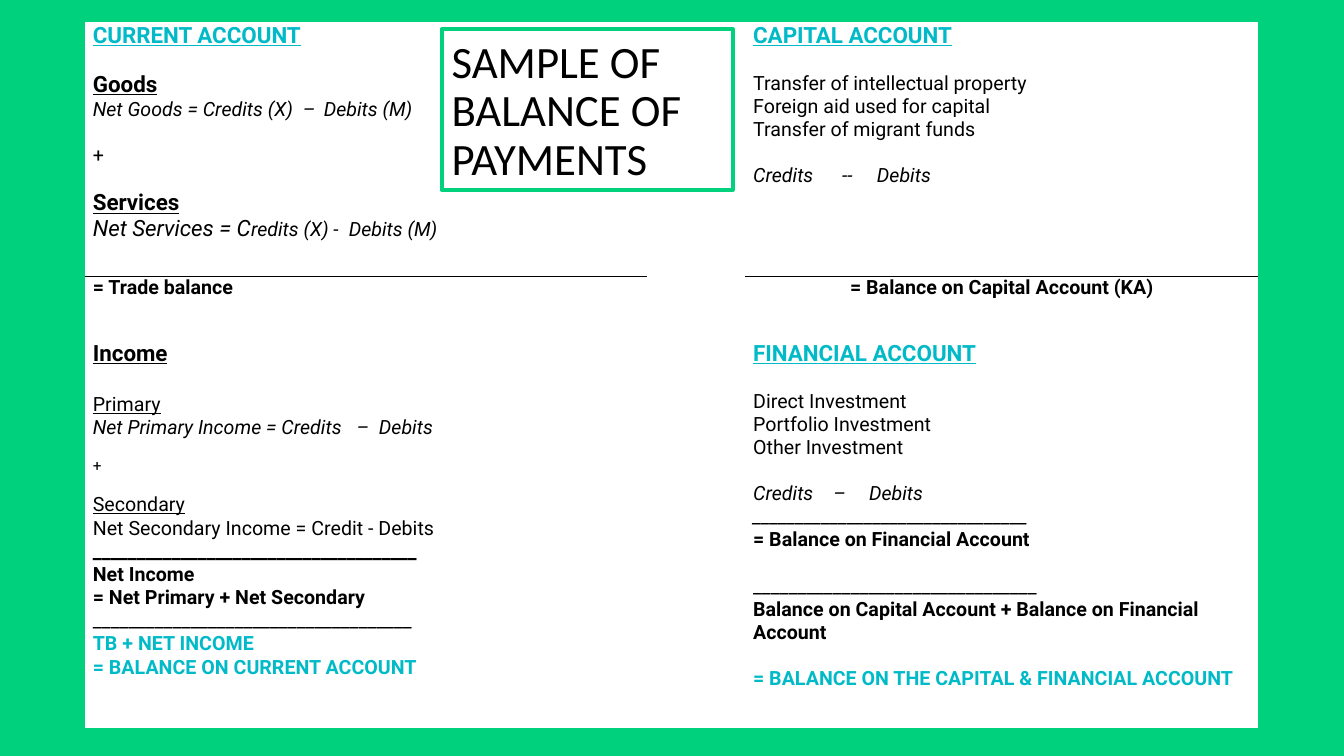
from lxml.etree import SubElement as Sub
from pptx import Presentation
from pptx.dml.color import RGBColor as Rgb
from pptx.enum.shapes import MSO_SHAPE as Shape
from pptx.enum.text import MSO_ANCHOR as Anchor, PP_ALIGN as Align
from pptx.oxml.ns import qn
from pptx.util import Cm, Pt

COLORS = {"green": "00D17D", "teal": "00BAC8", "black": "000000", "white": "FFFFFF"}
COLS = (14.15, 2.49, 12.9)
ROWS = (6.38, 1.63, 9.75)
GAP, SMALL = 16.4, 12.9  # heights of a skipped 14 pt and 11 pt line

# style: size, colour, flags (b bold, i italic, u underlined)
STYLES = {
    "head": (16, "teal", "bu"),
    "sub": (16, "black", "bu"),
    "big": (16, "black", "i"),
    "text": (14, "black", ""),
    "note": (14, "black", "i"),
    "label": (14, "black", "u"),
    "bold": (14, "black", "b"),
    "total": (14, "teal", "b"),
    "plus": (11, "black", ""),
}

# line: style, text or (style, text) runs, space before, tab stops in cm
CURRENT = [
    ("head", "CURRENT ACCOUNT"),
    ("sub", "Goods", GAP),
    ("note", "Net Goods = Credits (X)\t–\tDebits (M)", 0, (5.29, 5.82)),
    ("text", "+", GAP),
    ("sub", "Services", GAP),
    (None, (("big", "Net Services = C"), ("note", "redits (X) -\tDebits (M)")), 0, (6.45,)),
]
CAPITAL = [
    ("head", "CAPITAL ACCOUNT"),
    ("text", "Transfer of intellectual property", GAP),
    ("text", "Foreign aid used for capital"),
    ("text", "Transfer of migrant funds"),
    ("note", "Credits\t--\tDebits", GAP, (2.24, 3.12)),
]
INCOME = [
    ("sub", "Income"),
    ("label", "Primary", 18.75),
    ("note", "Net Primary Income = Credits\t–\tDebits", 0, (6.65, 7.21)),
    ("plus", "+", SMALL),
    ("label", "Secondary", SMALL),
    ("text", "Net Secondary Income = Credit - Debits"),
    ("bold", "_" * 37),
    ("bold", "Net Income"),
    ("bold", "= Net Primary + Net Secondary"),
    ("text", "_" * 36),
    ("total", "TB + NET INCOME"),
    ("total", "= BALANCE ON CURRENT ACCOUNT"),
]
FINANCE = [
    ("head", "FINANCIAL ACCOUNT"),
    ("text", "Direct Investment", GAP),
    ("text", "Portfolio Investment"),
    ("text", "Other Investment"),
    ("note", "Credits\t–\tDebits", GAP, (2.02, 2.92)),
    ("note", "_" * 32),
    ("bold", "= Balance on Financial Account"),
    ("text", "_" * 32, GAP),
    ("bold", "Balance on Capital Account + Balance on Financial Account"),
    ("total", "= BALANCE ON THE CAPITAL & FINANCIAL ACCOUNT", GAP),
]
CELLS = [
    (CURRENT, [], CAPITAL),
    ([("bold", "= Trade balance")], [], [("bold", "= Balance on Capital Account (KA)")]),
    (INCOME, [], FINANCE),
]


def color(name):
    return Rgb.from_string(COLORS[name])


def paint(fill, name):
    fill.solid()
    fill.fore_color.rgb = color(name)


def style(font, name):
    size, tint, flags = STYLES[name]
    font.name = "Roboto"
    font.size = Pt(size)
    font.color.rgb = color(tint)
    font.bold = "b" in flags
    font.italic = "i" in flags
    font.underline = "u" in flags


def add_tabs(para, stops):
    tabs = Sub(para._p.get_or_add_pPr(), qn("a:tabLst"))
    for stop in stops:
        Sub(tabs, qn("a:tab"), pos=str(Cm(stop)), algn="l")


def write(frame, lines):
    for i, (name, text, *rest) in enumerate(lines):
        gap, stops = (*rest, 0, ())[:2] if len(rest) != 1 else (rest[0], ())
        para = frame.add_paragraph() if i else frame.paragraphs[0]
        if stops:
            add_tabs(para, stops)
        if gap:
            para.space_before = Pt(gap)
        if name:
            para.add_run().text = text
            style(para.font, name)
        else:
            for kind, part in text:
                run = para.add_run()
                run.text = part
                style(run.font, kind)


def rule(cell, side):
    line = Sub(cell._tc.get_or_add_tcPr(), qn(f"a:ln{side}"), w=str(Pt(1)))
    fill = Sub(line, qn("a:solidFill"))
    Sub(fill, qn("a:srgbClr"), val=COLORS["black"])


def add_sheet(slide, left, top):
    """Place the table of accounts."""
    table = slide.shapes.add_table(
        len(ROWS), len(COLS), Cm(left), Cm(top), Cm(sum(COLS)), Cm(sum(ROWS))).table
    table.first_row = table.horz_banding = False
    for col, width in zip(table.columns, COLS):
        col.width = Cm(width)
    for row, height in zip(table.rows, ROWS):
        row.height = Cm(height)
    for r, row in enumerate(CELLS):
        for c, lines in enumerate(row):
            cell = table.cell(r, c)
            cell.margin_left = cell.margin_right = Cm(0.18)
            cell.margin_top = cell.margin_bottom = 0
            if lines and r < 2:
                rule(cell, "BT"[r])
            paint(cell.fill, "white")
            write(cell.text_frame, lines)
    table.cell(1, 2).text_frame.paragraphs[0].alignment = Align.CENTER


def add_title(slide, left, top, width, height):
    box = slide.shapes.add_shape(
        Shape.RECTANGLE, Cm(left), Cm(top), Cm(width), Cm(height))
    box.shadow.inherit = False
    paint(box.fill, "white")
    box.line.color.rgb = color("green")
    box.line.width = Pt(3)
    frame = box.text_frame
    frame.word_wrap = True
    frame.vertical_anchor = Anchor.BOTTOM
    para = frame.paragraphs[0]
    para.add_run().text = "SAMPLE OF BALANCE OF PAYMENTS"
    para.alignment = Align.LEFT
    para.line_spacing = 0.9
    para.font.name = "Calibri"
    para.font.size = Pt(32)
    para.font.color.rgb = color("black")


def main():
    deck = Presentation()
    deck.slide_width, deck.slide_height = Cm(33.87), Cm(19.05)
    slide = deck.slides.add_slide(deck.slide_layouts[6])
    paint(slide.background.fill, "green")
    add_sheet(slide, 2.16, 0.58)
    add_title(slide, 11.13, 0.74, 7.34, 4.04)
    deck.save("out.pptx")


if __name__ == "__main__":
    main()
